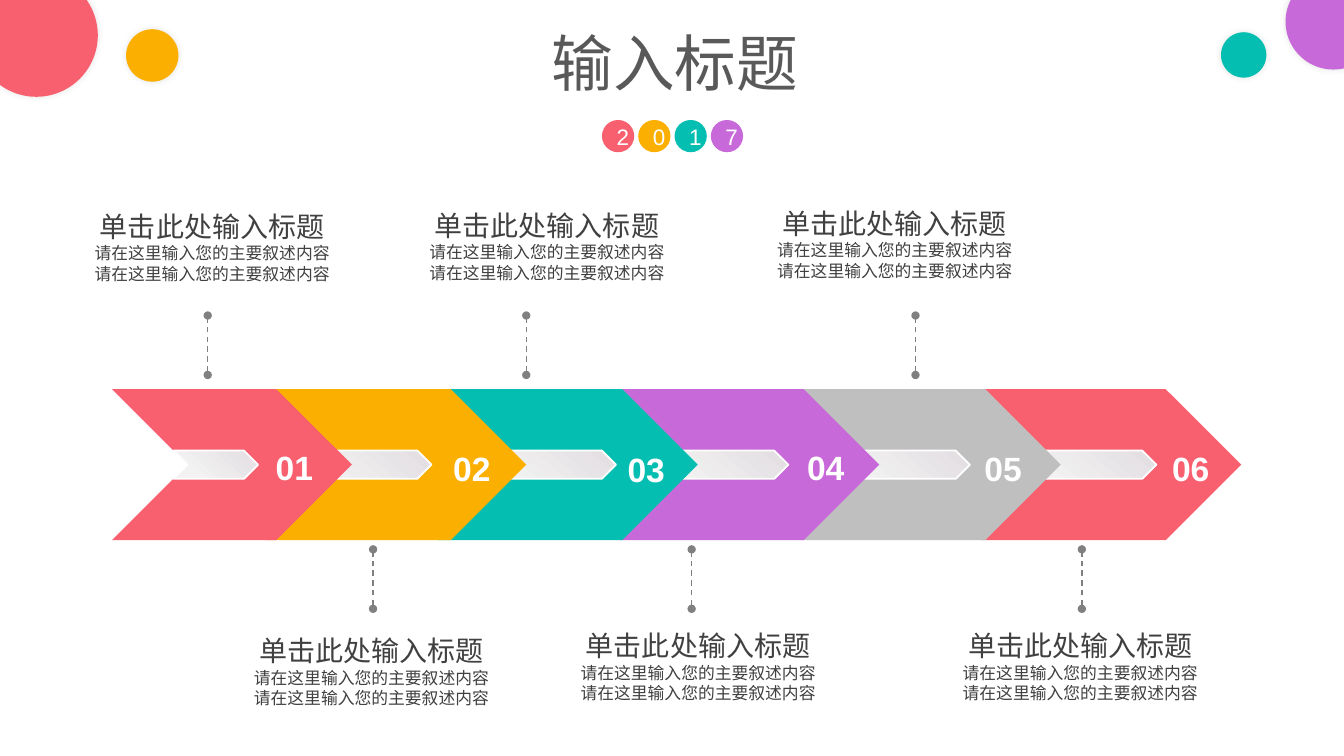
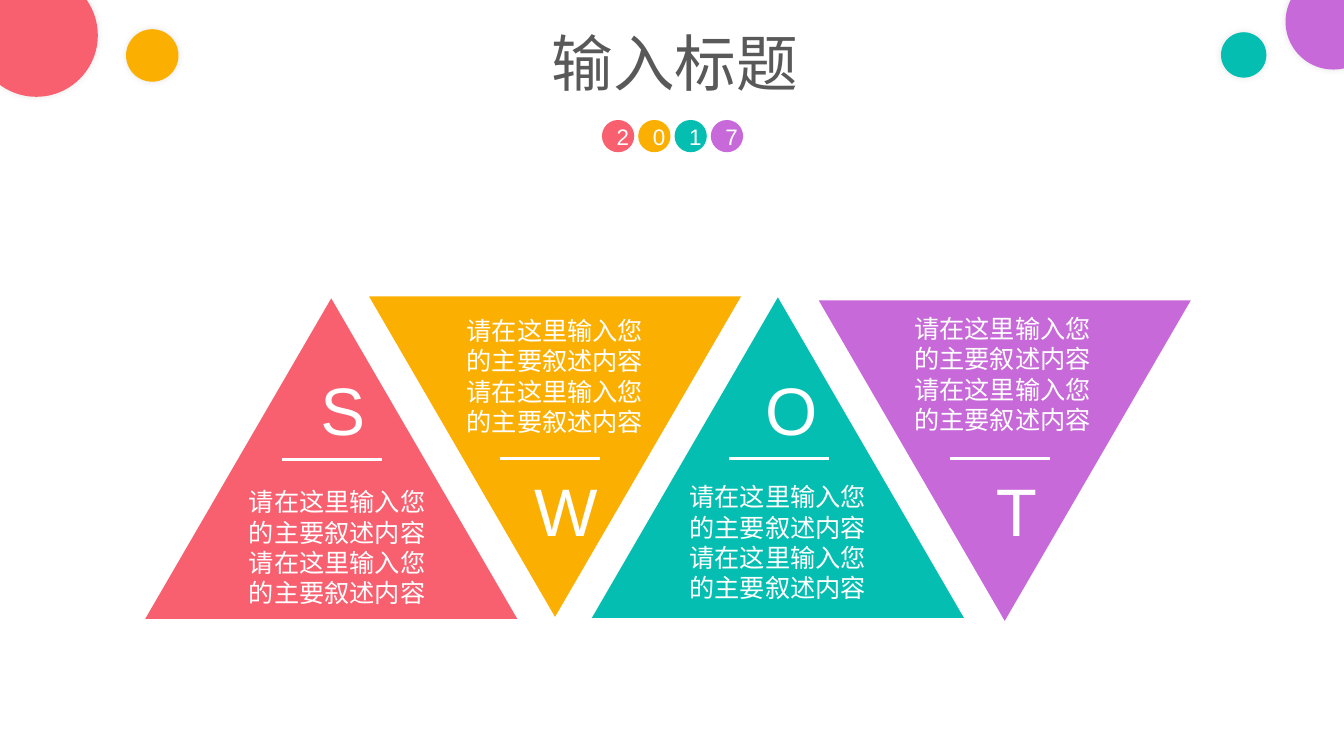
from pptx import Presentation
from pptx import util as u
from pptx.dml.color import RGBColor
from pptx.enum import dml, shapes, text
from pptx.oxml import parse_xml
from pptx.oxml.ns import nsdecls, qn

RED, ORANGE, TEAL, PURPLE = "F86070", "FBAF01", "04BFB1", "C769D8"
SILVER, GREY, DARK, WHITE = "BFBFBF", "808080", "404040", "FFFFFF"
FONT = "Arial"
LEFT, CENTER = text.PP_ALIGN.LEFT, text.PP_ALIGN.CENTER
Kind = shapes.MSO_SHAPE
color = RGBColor.from_string


def paint(shape, fill):
    """Give a shape a plain fill with no line and no shadow."""
    shape.shadow.inherit = False
    shape.fill.solid()
    shape.fill.fore_color.rgb = color(fill)
    shape.line.fill.background()
    return shape


def write(shape, lines, ink, align=LEFT, bold=False, wrap=False):
    """Fill a shape with one paragraph for each (text, size) pair."""
    frame = shape.text_frame
    frame.word_wrap = wrap
    for index, (words, size) in enumerate(lines):
        paragraph = frame.add_paragraph() if index else frame.paragraphs[0]
        paragraph.text = words
        paragraph.alignment = align
        paragraph.font.name = FONT
        paragraph.font.size = u.Pt(size)
        paragraph.font.bold = bold
        paragraph.font.color.rgb = color(ink)
    return frame


presentation = Presentation()
presentation.slide_width = u.Inches(13.33)
presentation.slide_height = u.Inches(7.5)

# Shared heading and corner circles
corner_circles = [(12.75, -0.26, 0.95, PURPLE), (12.11, 0.32, 0.45, TEAL),
                  (-0.25, -0.26, 1.22, RED), (1.25, 0.29, 0.52, ORANGE)]
for _ in range(2):
    slide = presentation.slides.add_slide(presentation.slide_layouts[5])
    for index, (digit, fill) in enumerate(zip("2017", (RED, ORANGE, TEAL, PURPLE))):
        circle = slide.shapes.add_shape(
            Kind.OVAL, u.Inches(5.97 + 0.36 * index), u.Inches(1.19),
            u.Inches(0.32), u.Inches(0.32))
        write(paint(circle, fill), [(digit, 16)], WHITE, CENTER, wrap=True)
    for left, top, size, fill in corner_circles:
        circle = paint(slide.shapes.add_shape(
            Kind.OVAL, u.Inches(left), u.Inches(top), u.Inches(size), u.Inches(size)), fill)
        circle._element.spPr.find(qn("a:effectLst")).append(parse_xml(
            f'<a:outerShdw {nsdecls("a")} blurRad="63500" dist="0" dir="0">'
            '<a:srgbClr val="000000"><a:alpha val="11000"/></a:srgbClr></a:outerShdw>'))
    title = slide.shapes.title
    title.left, title.top = u.Inches(5.37), u.Inches(0.2)
    title.width, title.height = u.Inches(2.67), u.Inches(0.84)
    frame = write(title, [("输入标题", 44)], "595959")
    frame.auto_size = text.MSO_AUTO_SIZE.NONE
    frame.vertical_anchor = text.MSO_ANCHOR.TOP

process_slide, swot_slide = presentation.slides

# Process arrow, stacked from the last step to the first
bars = []
steps = [("06", RED, 9.73, 10, 11.29, 4.39), ("05", SILVER, 7.94, 8.15, 9.43, 4.39),
         ("04", PURPLE, 6.14, 6.35, 7.67, 4.38), ("03", TEAL, 4.34, 4.64, 5.89, 4.4),
         ("02", ORANGE, 2.64, 2.81, 4.16, 4.39), ("01", RED, 1.11, 1.72, 2.4, 4.38)]
for number, fill, plate_left, bar_left, number_left, number_top in steps:
    if number == "01":
        parts = []
        for left, shoulder, top, half in ((plate_left, 2.74, 3.86, 0.75),
                                          (bar_left, 2.42, 4.47, 0.14)):
            outline = [(left, top), (shoulder, top), (shoulder + half, top + half),
                       (shoulder, top + 2 * half), (left, top + 2 * half),
                       (left + half, top + half)]
            points = [(u.Inches(x), u.Inches(y)) for x, y in outline]
            builder = process_slide.shapes.build_freeform(*points[0])
            builder.add_line_segments(points[1:], close=True)
            parts.append(builder.convert_to_shape())
    else:
        parts = [process_slide.shapes.add_shape(
            Kind.PENTAGON, u.Inches(left), u.Inches(top), u.Inches(width), u.Inches(height))
            for left, top, width, height in ((plate_left, 3.86, 2.58, 1.5),
                                             (bar_left, 4.47, 1.47, 0.28))]
    plate, bar = parts
    paint(plate, fill)
    bars.append(bar)
    label = process_slide.shapes.add_textbox(
        u.Inches(number_left), u.Inches(number_top), u.Inches(1.04), u.Inches(0.5))
    write(label, [(number, 24)], WHITE, CENTER, bold=True, wrap=True)

for bar in bars:
    bar.shadow.inherit = False
    bar.fill.gradient()
    bar.fill.gradient_angle = 230
    for stop, (position, shade) in zip(bar.fill.gradient_stops, ((0, "E2DDE1"), (0.76, "F2F2F2"))):
        stop.position = position
        stop.color.rgb = color(shade)
    bar.line.color.rgb = color(WHITE)
    bar.line.width = u.Pt(1.25)

# Dashed markers and captions
markers = [(2.06, 3.13), (5.22, 3.13), (9.08, 3.13), (3.7, 5.45), (6.86, 5.45), (10.73, 5.45)]
for x, top in markers:
    marker = process_slide.shapes.add_connector(
        shapes.MSO_CONNECTOR.STRAIGHT, u.Inches(x), u.Inches(top + 0.59), u.Inches(x), u.Inches(top))
    marker.line.color.rgb = color(GREY)
    marker.line.width = u.Pt(1)
    marker.line.dash_style = dml.MSO_LINE.DASH
    for end in ("headEnd", "tailEnd"):
        marker.line._get_or_add_ln().append(parse_xml(f'<a:{end} {nsdecls("a")} type="oval"/>'))

caption = [("单击此处输入标题", 20)] + [("请在这里输入您的主要叙述内容", 12)] * 2
for left, top in ((0.84, 2.03), (4.16, 2.02), (7.61, 2), (2.42, 6.24), (5.66, 6.19), (9.45, 6.19)):
    box = process_slide.shapes.add_textbox(
        u.Inches(left), u.Inches(top), u.Inches(2.53), u.Inches(0.95))
    write(box, caption, DARK, CENTER)

# SWOT triangles: letter, fill, flipped, triangle, body, letter and rule positions
description = [("请在这里输入您", 18), ("的主要叙述内容", 18)] * 2
triangles = [("T", PURPLE, True, (8.12, 2.98), (8.97, 3.06), (9.78, 4.61), (9.42, 4.55)),
             ("S", RED, False, (1.44, 2.96), (2.37, 4.78), (3.08, 3.6), (2.8, 4.56)),
             ("W", ORANGE, True, (3.66, 2.94), (4.53, 3.08), (5.2, 4.61), (4.96, 4.55)),
             ("O", TEAL, False, (5.87, 2.95), (6.74, 4.73), (7.49, 3.6), (7.23, 4.55))]
for letter, fill, flipped, corner, body_at, letter_at, rule_at in triangles:
    triangle = paint(swot_slide.shapes.add_shape(
        Kind.ISOSCELES_TRIANGLE, *map(u.Inches, corner), u.Inches(3.69), u.Inches(3.18)), fill)
    if flipped:
        triangle._element.spPr.xfrm.set("flipV", "1")
    body = swot_slide.shapes.add_textbox(*map(u.Inches, body_at), u.Inches(1.97), u.Inches(1.62))
    write(body, description, WHITE)
    initial = swot_slide.shapes.add_textbox(
        *map(u.Inches, letter_at), u.Inches(0.84), u.Inches(0.91))
    write(initial, [(letter, 48)], WHITE)
    x, y = rule_at
    rule = swot_slide.shapes.add_connector(
        shapes.MSO_CONNECTOR.STRAIGHT, u.Inches(x + 0.99), u.Inches(y), u.Inches(x), u.Inches(y))
    rule.line.color.rgb = color(WHITE)
    rule.line.width = u.Pt(1.75)

# Connectors carry a theme shadow until an empty effect list replaces it
for slide in presentation.slides:
    for shape in slide.shapes:
        if shape.shape_type == shapes.MSO_SHAPE_TYPE.LINE:
            shape._element.spPr.append(parse_xml(f'<a:effectLst {nsdecls("a")}/>'))

presentation.save("out.pptx")
